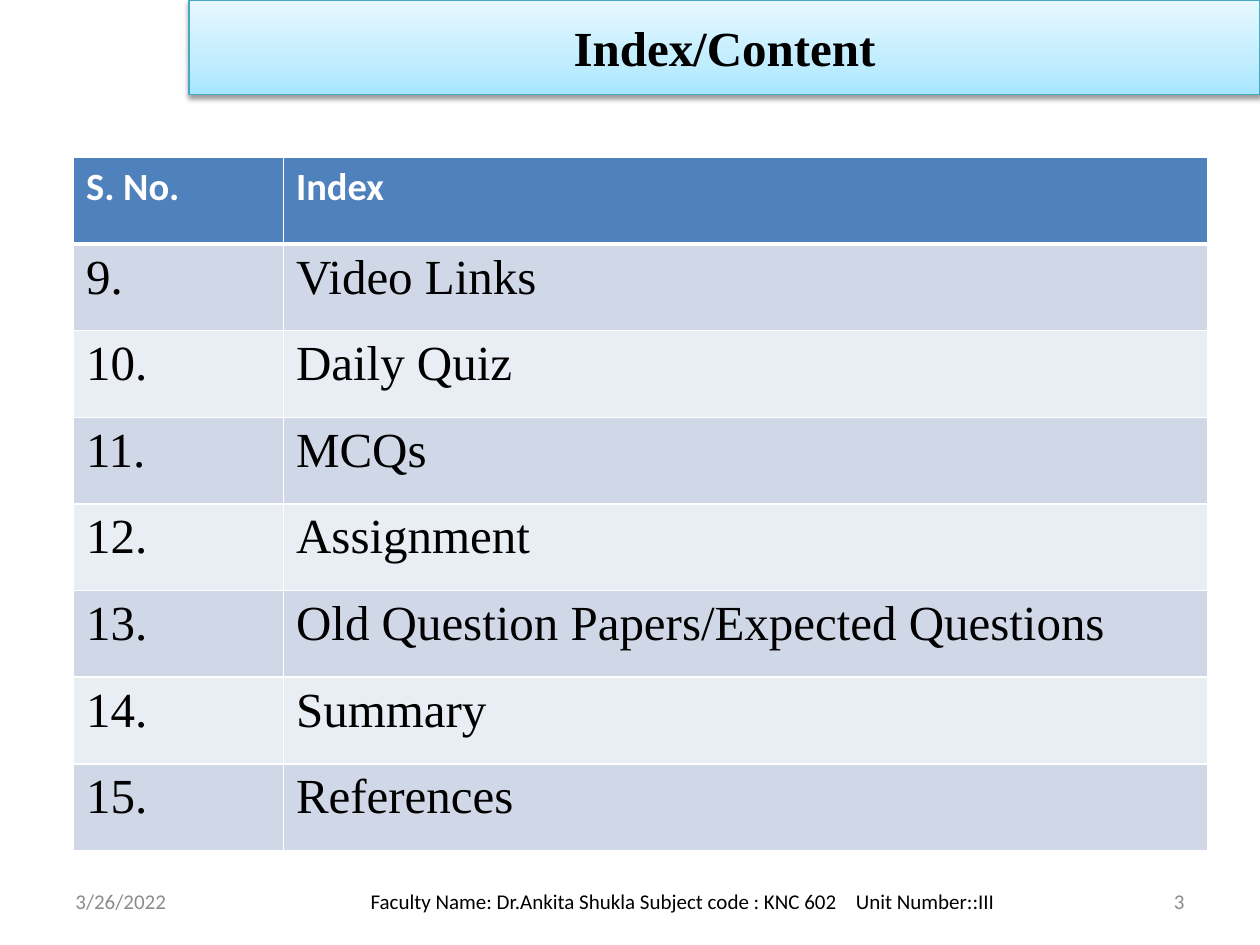
from lxml import etree
from pptx import Presentation
from pptx.dml.color import RGBColor
from pptx.enum.shapes import MSO_SHAPE
from pptx.enum.text import MSO_ANCHOR, PP_ALIGN
from pptx.oxml.ns import nsdecls, qn
from pptx.util import Pt

RECTANGLE = MSO_SHAPE.RECTANGLE
MIDDLE = MSO_ANCHOR.MIDDLE
LEFT, CENTER, RIGHT = PP_ALIGN.LEFT, PP_ALIGN.CENTER, PP_ALIGN.RIGHT

BODY_FONT = {"name": "Times New Roman", "size": Pt(28), "bold": False}
TITLE_FONT = {**BODY_FONT, "bold": True}
HEADER_FONT = {"name": "Calibri", "size": Pt(22), "bold": True}
FOOTER_FONT = {"name": "Calibri", "size": Pt(12)}
HEADINGS = ("S. No.", "Index")
FIRST_NUMBER = 9
TOPICS = ("Video Links", "Daily Quiz", "MCQs", "Assignment",
          "Old Question Papers/Expected Questions", "Summary", "References")


def color(value):
    return RGBColor.from_string(value)


def add_run(paragraph, text, font, font_color):
    run = paragraph.add_run()
    run.text = text
    for name, value in font.items():
        setattr(run.font, name, value)
    run.font.color.rgb = color(font_color)
    return run


def xml(text):
    return etree.fromstring(text.replace(">", f" {nsdecls('a')}>", 1))


def add_title(slide, left, top, width, height):
    shape = slide.shapes.add_shape(RECTANGLE, Pt(left), Pt(top), Pt(width), Pt(height))
    shape.line.color.rgb = color("46AAC5")
    shape.line.width = Pt(0.75)
    shape.shadow.inherit = False
    properties = shape._element.spPr
    stops = "".join(
        f'<a:gs pos="{percent * 1000}"><a:srgbClr val="{value}"/></a:gs>'
        for percent, value in ((0, "A7E6FF"), (35, "C1EDFF"), (100, "E7F8FF")))
    properties.find(qn("a:prstGeom")).addnext(xml(
        f'<a:gradFill><a:gsLst>{stops}</a:gsLst><a:lin ang="16200000"/></a:gradFill>'))
    properties.find(qn("a:effectLst")).append(xml(
        f'<a:outerShdw blurRad="{Pt(3.1)}" dist="{Pt(1.6)}" dir="5400000" rotWithShape="0">'
        '<a:srgbClr val="000000"><a:alpha val="38000"/></a:srgbClr></a:outerShdw>'))
    shape.text_frame.vertical_anchor = MIDDLE
    paragraph = shape.text_frame.paragraphs[0]
    paragraph.alignment = CENTER
    add_run(paragraph, "Index/Content", TITLE_FONT, "000000")


def format_cell(cell, text, font, font_color, fill, top, bottom):
    properties = cell._tc.get_or_add_tcPr()
    for side, width in (("L", 1), ("R", 1), ("T", top), ("B", bottom)):
        properties.append(xml(
            f'<a:ln{side} w="{Pt(width)}"><a:solidFill><a:srgbClr val="FFFFFF"/>'
            f'</a:solidFill></a:ln{side}>'))
    cell.fill.solid()
    cell.fill.fore_color.rgb = color(fill)
    add_run(cell.text_frame.paragraphs[0], text, font, font_color)


def add_index(slide, left, top, width, height):
    rows = [HEADINGS] + [(f"{number}.", topic)
                         for number, topic in enumerate(TOPICS, FIRST_NUMBER)]
    table = slide.shapes.add_table(
        len(rows), len(HEADINGS), Pt(left), Pt(top), Pt(width), Pt(height)).table
    number_width = 120
    table.columns[0].width = Pt(number_width)
    table.columns[1].width = Pt(width - number_width)
    for row_index, row in enumerate(rows):
        if row_index == 0:
            style = (HEADER_FONT, "FFFFFF", "4F81BD", 1, 3)
        else:
            fill = "D0D8E8" if row_index % 2 else "E9EDF4"
            style = (BODY_FONT, "000000", fill, 3 if row_index == 1 else 1, 1)
        for column_index, text in enumerate(row):
            format_cell(table.cell(row_index, column_index), text, *style)


def add_footer_text(slide, left, top, width, height, alignment, parts, font_color):
    frame = slide.shapes.add_textbox(Pt(left), Pt(top), Pt(width), Pt(height)).text_frame
    frame.word_wrap = True
    frame.vertical_anchor = MIDDLE
    paragraph = frame.paragraphs[0]
    paragraph.alignment = alignment
    for index, part in enumerate(parts):
        if index:
            gap = add_run(paragraph, " ", FOOTER_FONT, font_color)
            gap.font._element.set("spc", "800")
        add_run(paragraph, part, FOOTER_FONT, font_color)


def add_footer(slide, left, top, width, height):
    side_width = 168
    course = ("Faculty Name: Dr.Ankita Shukla Subject code : KNC 602", "Unit Number::III")
    add_footer_text(slide, left, top, side_width, height, LEFT, ("3/26/2022",), "8C8C8C")
    add_footer_text(slide, left + 102, top, 504, height, CENTER, course, "000000")
    add_footer_text(slide, left + width - side_width, top, side_width, height,
                    RIGHT, ("3",), "8C8C8C")


def main():
    presentation = Presentation()
    presentation.slide_width = Pt(720)
    presentation.slide_height = Pt(540)
    slide = presentation.slides.add_slide(presentation.slide_layouts[6])
    add_index(slide, 42, 90, 648, 396)
    add_footer(slide, 36, 500.5, 648, 28.75)
    add_title(slide, 108, 0, 612, 54)
    presentation.save("out.pptx")


if __name__ == "__main__":
    main()
